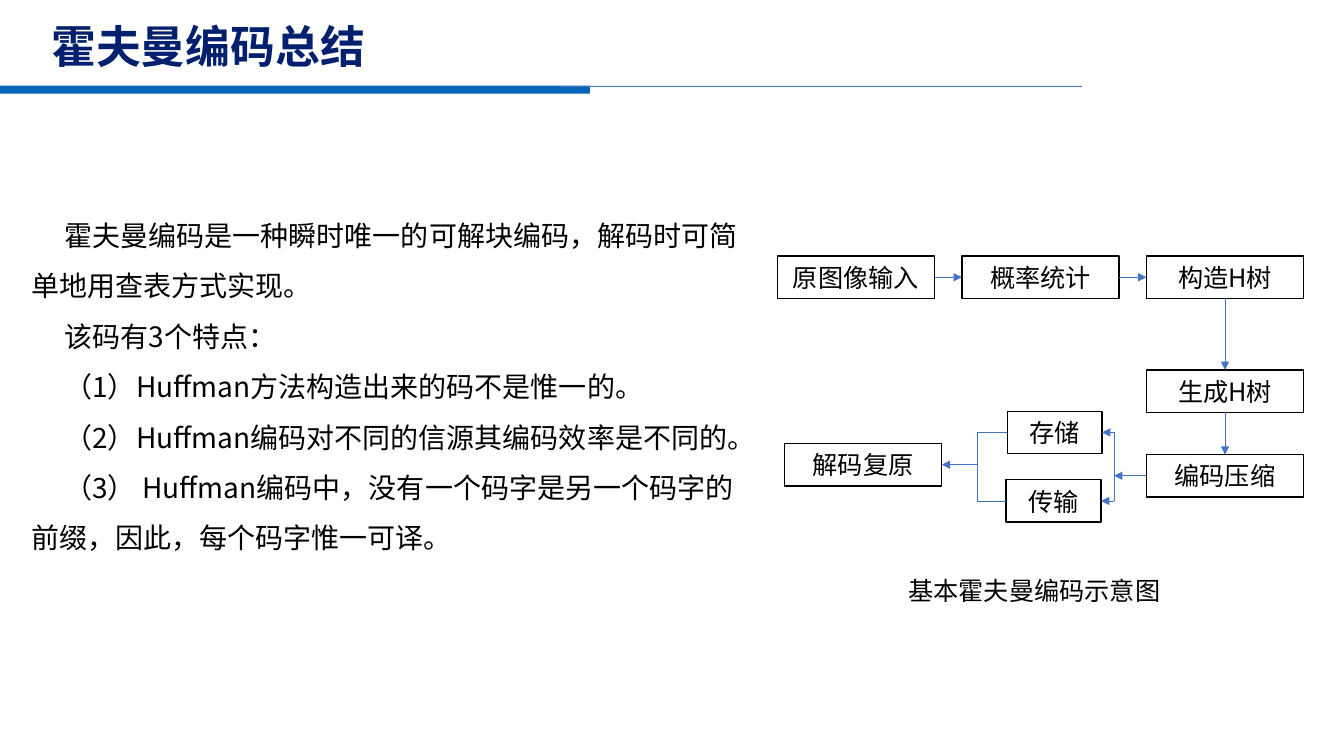
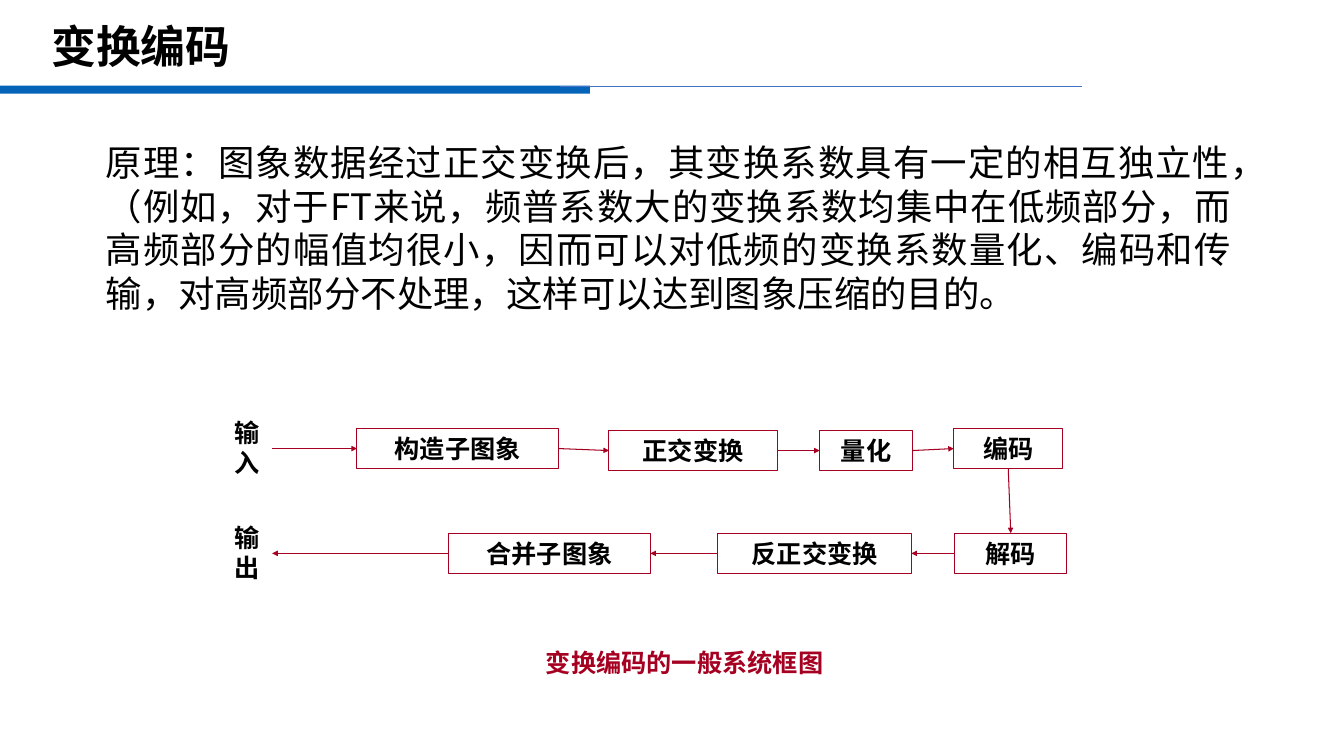
from lxml import etree
from pptx import Presentation
from pptx import util as u
from pptx.dml.color import RGBColor
from pptx.enum import shapes, text
from pptx.oxml.ns import qn

FONT = "Noto Sans CJK SC"
BLACK = RGBColor(0x00, 0x00, 0x00)
WHITE = RGBColor(0xFF, 0xFF, 0xFF)
NAVY = RGBColor(0x02, 0x20, 0x6D)
BAND = RGBColor(0x05, 0x63, 0xB8)
BLUE = RGBColor(0x44, 0x72, 0xC4)
RED = RGBColor(0xA5, 0x00, 0x21)
LEFT, CENTER, JUSTIFY = text.PP_ALIGN.LEFT, text.PP_ALIGN.CENTER, text.PP_ALIGN.JUSTIFY
TOP, MIDDLE = text.MSO_ANCHOR.TOP, text.MSO_ANCHOR.MIDDLE


def write(sp, paragraphs, size, color=BLACK, bold=False, align=LEFT,
          anchor=TOP, spacing=1.0, indent=0, wrap=True):
    tf = sp.text_frame
    tf.word_wrap = wrap
    tf.vertical_anchor = anchor
    for i, words in enumerate(paragraphs):
        p = tf.add_paragraph() if i else tf.paragraphs[0]
        p.alignment = align
        p.line_spacing = spacing
        if indent:
            p._p.get_or_add_pPr().set("indent", str(u.Inches(indent)))
        r = p.add_run()
        r.text = words
        r.font.name = FONT
        r.font.size = u.Pt(size)
        r.font.bold = bold
        r.font.color.rgb = color
        etree.SubElement(r._r.get_or_add_rPr(), qn("a:ea"), typeface=FONT)


def connect(s, boxes, start, end, color, width, head=None):
    cx = s.shapes.add_connector(shapes.MSO_CONNECTOR.STRAIGHT, 0, 0, 0, 0)
    if start[0] in boxes:
        cx.begin_connect(boxes[start[0]], start[1])
    else:
        cx.begin_x, cx.begin_y = map(u.Inches, start)
    if end[0] in boxes:
        cx.end_connect(boxes[end[0]], end[1])
    else:
        cx.end_x, cx.end_y = map(u.Inches, end)
    cx.line.color.rgb = color
    cx.line.width = u.Pt(width)
    if head:
        etree.SubElement(cx.line._get_or_add_ln(), qn("a:tailEnd"),
                         type="triangle", w=head, len=head)
    etree.SubElement(cx._element.spPr, qn("a:effectLst"))


prs = Presentation()
prs.slide_width, prs.slide_height = u.Inches(13.33), u.Inches(7.5)

slides = []
for title, color in (("霍夫曼编码总结", NAVY), ("变换编码", BLACK)):
    s = prs.slides.add_slide(prs.slide_layouts[6])
    band = s.shapes.add_shape(shapes.MSO_SHAPE.RECTANGLE, 0, u.Inches(0.85),
                              u.Inches(5.85), u.Inches(0.08))
    band.shadow.inherit = False
    band.fill.solid()
    band.fill.fore_color.rgb = BAND
    band.line.fill.background()
    connect(s, {}, (5.55, 0.86), (10.73, 0.86), BLUE, 1)
    sp = s.shapes.add_textbox(*map(u.Inches, (0.41, 0.22, 12.44, 0.53)))
    write(sp, [title], 32, color, True, anchor=MIDDLE, spacing=0.9)
    slides.append(s)
huffman, transform = slides

sp = huffman.shapes.add_textbox(*map(u.Inches, (0.21, 1.96, 7.29, 3.58)))
write(sp, [
    "霍夫曼编码是一种瞬时唯一的可解块编码，解码时可简单地用查表方式实现。",
    "该码有3个特点：",
    "（1）Huffman方法构造出来的码不是惟一的。",
    "（2）Huffman编码对不同的信源其编码效率是不同的。",
    "（3） Huffman编码中，没有一个码字是另一个码字的前缀，因此，每个码字惟一可译。",
], 20, anchor=MIDDLE, spacing=1.5, indent=0.33)

boxes = {}
for name, x, y, w in (
    ("原图像输入", 7.71, 2.54, 1.56),
    ("概率统计", 9.54, 2.54, 1.56),
    ("构造H树", 11.37, 2.54, 1.56),
    ("生成H树", 11.37, 3.67, 1.56),
    ("编码压缩", 11.37, 4.51, 1.56),
    ("存储", 9.99, 4.08, 0.94),
    ("传输", 9.98, 4.76, 0.94),
    ("解码复原", 7.78, 4.4, 1.56),
):
    sp = huffman.shapes.add_shape(shapes.MSO_SHAPE.RECTANGLE,
                                  *map(u.Inches, (x, y, w, 0.42)))
    sp.shadow.inherit = False
    sp.fill.solid()
    sp.fill.fore_color.rgb = WHITE
    sp.line.color.rgb = BLACK
    sp.line.width = u.Pt(1)
    write(sp, [name], 18, align=CENTER, anchor=MIDDLE)
    boxes[name] = sp

SPLIT_X, JOIN_X, STORE_Y, SEND_Y = 11.05, 9.69, 4.29, 4.97
for start, end, head in (
    (("原图像输入", 3), ("概率统计", 1), "med"),
    (("概率统计", 3), ("构造H树", 1), "med"),
    (("构造H树", 2), ("生成H树", 0), "med"),
    (("生成H树", 2), ("编码压缩", 0), "med"),
    (("编码压缩", 1), (SPLIT_X, 4.72), "med"),
    ((SPLIT_X, STORE_Y), (SPLIT_X, SEND_Y), None),
    ((SPLIT_X, STORE_Y), ("存储", 3), "med"),
    ((SPLIT_X, SEND_Y), ("传输", 3), "med"),
    ((JOIN_X, STORE_Y), (JOIN_X, SEND_Y), None),
    ((JOIN_X, STORE_Y), ("存储", 1), None),
    ((JOIN_X, SEND_Y), ("传输", 1), None),
    ((JOIN_X, 4.61), ("解码复原", 3), "med"),
):
    connect(huffman, boxes, start, end, BLUE, 0.5, head)

sp = huffman.shapes.add_textbox(*map(u.Inches, (8.91, 5.66, 2.77, 0.4)))
write(sp, ["基本霍夫曼编码示意图"], 18, wrap=False)

sp = transform.shapes.add_textbox(*map(u.Inches, (0.95, 1.34, 11.37, 1.85)))
write(sp, [
    "原理：图象数据经过正交变换后，其变换系数具有一定的相互独立性，"
    "（例如，对于FT来说，频普系数大的变换系数均集中在低频部分，"
    "而高频部分的幅值均很小，因而可以对低频的变换系数量化、编码和传输，"
    "对高频部分不处理，这样可以达到图象压缩的目的。"
], 26, align=JUSTIFY)

boxes = {}
for name, x, y, w in (
    ("构造子图象", 3.54, 4.25, 2),
    ("正交变换", 6.04, 4.27, 1.67),
    ("量化", 8.13, 4.27, 0.92),
    ("编码", 9.46, 4.25, 1.08),
    ("解码", 9.47, 5.29, 1.11),
    ("反正交变换", 7.12, 5.29, 1.92),
    ("合并子图象", 4.45, 5.29, 2),
):
    sp = transform.shapes.add_shape(shapes.MSO_SHAPE.RECTANGLE,
                                    *map(u.Inches, (x, y, w, 0.4)))
    sp.shadow.inherit = False
    sp.fill.background()
    sp.line.color.rgb = RED
    sp.line.width = u.Pt(0.75)
    write(sp, [name], 18, bold=True, align=CENTER)
    boxes[name] = sp

for start, end in (
    ((2.7, 4.45), ("构造子图象", 1)),
    (("构造子图象", 3), ("正交变换", 1)),
    (("正交变换", 3), ("量化", 1)),
    (("量化", 3), ("编码", 1)),
    (("编码", 2), ("解码", 0)),
    (("解码", 1), ("反正交变换", 3)),
    (("反正交变换", 1), ("合并子图象", 3)),
    (("合并子图象", 1), (2.7, 5.49)),
):
    connect(transform, boxes, start, end, RED, 0.75, "sm")

for words, x, y, w, h, color in (
    ("输入", 2.12, 4.09, 0.67, 0.71, BLACK),
    ("输出", 2.12, 5.13, 0.67, 0.71, BLACK),
    ("变换编码的一般系统框图", 4.29, 6.37, 5, 0.4, RED),
):
    sp = transform.shapes.add_textbox(*map(u.Inches, (x, y, w, h)))
    write(sp, [words], 18, color, True, CENTER)

prs.save("out.pptx")
